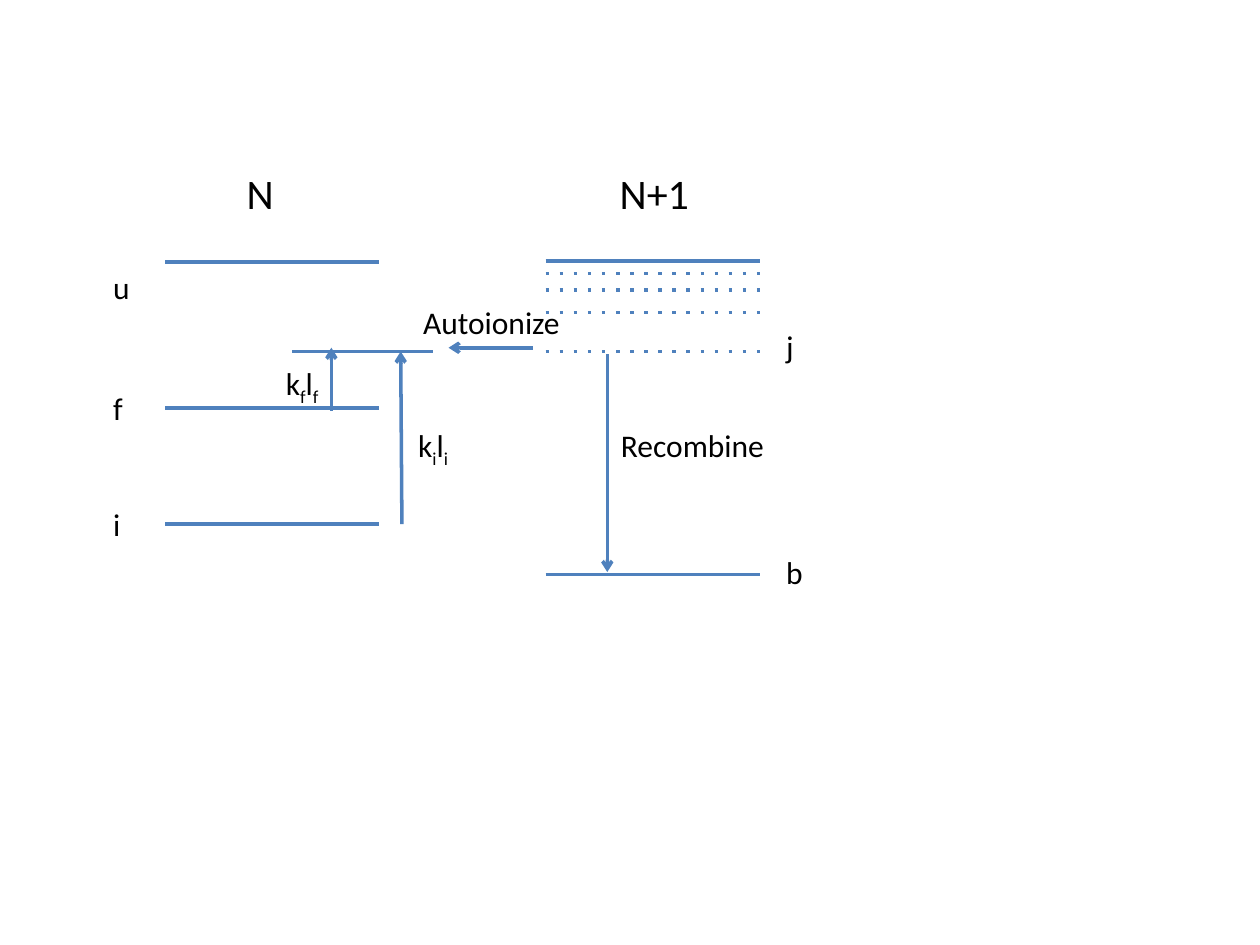
from lxml import etree
from pptx import Presentation
from pptx.dml.color import RGBColor
from pptx.enum.shapes import MSO_CONNECTOR
from pptx.enum.text import MSO_AUTO_SIZE
from pptx.oxml.ns import qn
from pptx.util import Inches, Pt

STRAIGHT = MSO_CONNECTOR.STRAIGHT
GROW = MSO_AUTO_SIZE.SHAPE_TO_FIT_TEXT


def color(code):
    return RGBColor.from_string(code)


class Diagram:
    font = "Calibri"
    ink = "000000"
    blue = "4F81BD"
    weight = 2

    def __init__(self, slide):
        self.shapes = slide.shapes

    def line(self, start, end, dash=None, tip=None):
        ends = [Inches(value) for value in (*start, *end)]
        shape = self.shapes.add_connector(STRAIGHT, *ends)
        shape.line.width = Pt(self.weight)
        shape.line.color.rgb = color(self.blue)
        props = shape._element.spPr
        stroke = props.find(qn("a:ln"))
        if dash:
            etree.SubElement(stroke, qn("a:prstDash")).set("val", dash)
        if tip:
            etree.SubElement(stroke, qn("a:tailEnd")).set("type", tip)
        etree.SubElement(props, qn("a:effectLst"))

    def level(self, left, top, width=1.7, dash=None):
        self.line((left, top), (left + width, top), dash=dash)

    def arrow(self, start, end):
        self.line(start, end, tip="arrow")

    def label(self, parts, left, top, width, height=0.4, size=18):
        area = [Inches(value) for value in (left, top, width, height)]
        frame = self.shapes.add_textbox(*area).text_frame
        frame.word_wrap = False
        frame.auto_size = GROW
        para = frame.paragraphs[0]
        para.font.name = self.font
        para.font.size = Pt(size)
        para.font.color.rgb = color(self.ink)
        for index, part in enumerate(parts):
            run = para.add_run()
            run.text = part
            if index % 2:
                run._r.get_or_add_rPr().set("baseline", "-25000")


def main():
    deck = Presentation()
    deck.slide_width = Inches(10)
    deck.slide_height = Inches(7.5)
    art = Diagram(deck.slides.add_slide(deck.slide_layouts[6]))

    ion, atom = 1.31, 4.33
    for top in (2.08, 3.24, 4.16):
        art.level(ion, top)
    for top in (2.07, 4.56):
        art.level(atom, top)
    for top in (2.17, 2.3, 2.48, 2.79):
        art.level(atom, top, dash="dot")
    art.level(2.32, 2.79, width=1.12)

    for start, end in (
        ((3.19, 4.16), (3.18, 2.79)),
        ((2.63, 3.26), (2.63, 2.76)),
        ((4.82, 2.81), (4.82, 4.54)),
        ((4.23, 2.76), (3.56, 2.76)),
    ):
        art.arrow(start, end)

    for text, left, width in (("N", 1.86, 0.42), ("N+1", 4.82, 0.76)):
        art.label([text], left, 1.28, width, height=0.5, size=24)

    for parts, left, top, width in (
        (["u"], 0.8, 2.08, 0.33),
        (["f"], 0.8, 3.04, 0.29),
        (["i"], 0.8, 3.96, 0.26),
        (["j"], 6.14, 2.55, 0.26),
        (["b"], 6.14, 4.34, 0.33),
        (["k", "i", "l", "i"], 3.22, 3.33, 0.45),
        (["k", "f", "l", "f"], 2.17, 2.84, 0.48),
        (["Autoionize"], 3.26, 2.36, 1.31),
        (["Recombine"], 4.83, 3.33, 1.35),
    ):
        art.label(parts, left, top, width)

    deck.save("out.pptx")


if __name__ == "__main__":
    main()
